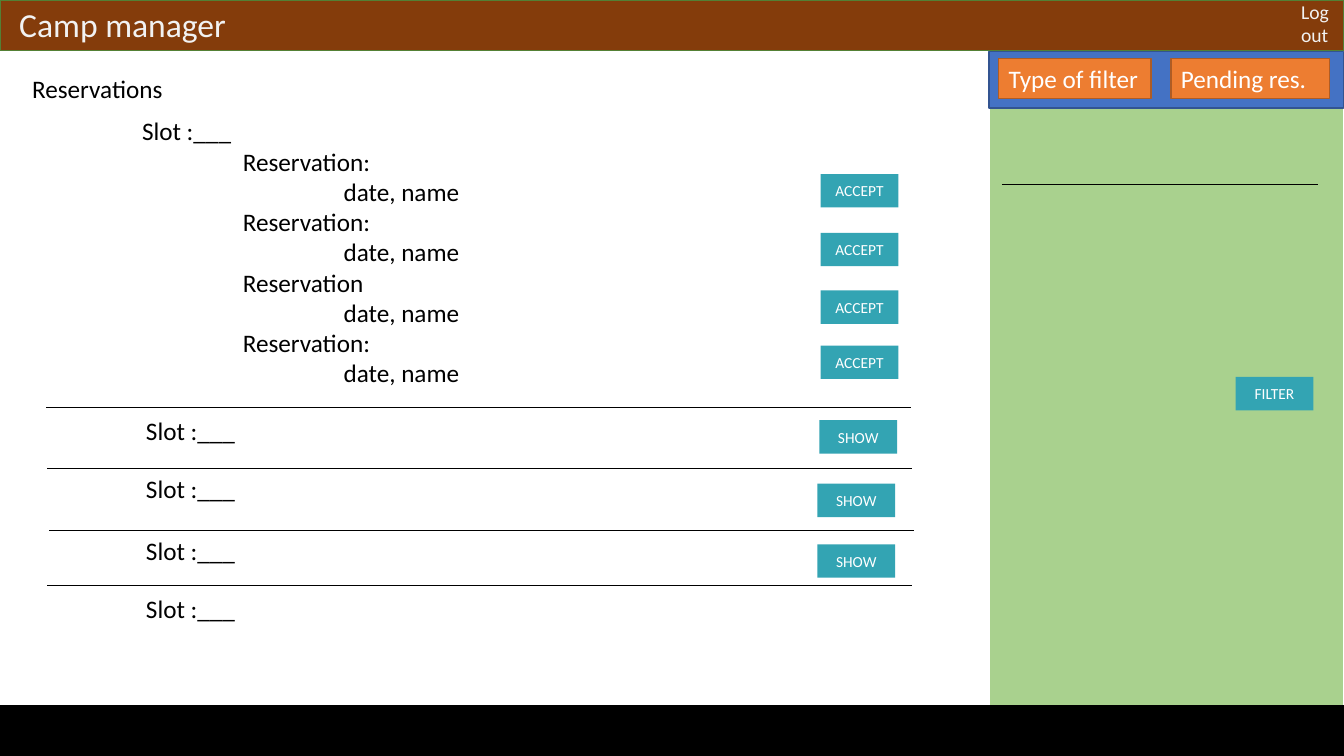
"""Build the camp manager reservations screen as one slide."""
from lxml import etree
from pptx import Presentation
from pptx.dml.color import RGBColor
from pptx.enum.shapes import MSO_CONNECTOR, MSO_SHAPE
from pptx.enum.text import MSO_ANCHOR, MSO_AUTO_SIZE, PP_ALIGN
from pptx.oxml.ns import qn
from pptx.util import Cm, Pt

RECTANGLE = MSO_SHAPE.RECTANGLE
STRAIGHT = MSO_CONNECTOR.STRAIGHT
TOP, MIDDLE = MSO_ANCHOR.TOP, MSO_ANCHOR.MIDDLE
LEFT, CENTER = PP_ALIGN.LEFT, PP_ALIGN.CENTER
NO_AUTOFIT = MSO_AUTO_SIZE.NONE

WIDTH, HEIGHT, BAR = 33.87, 19.05, 1.27
SIDEBAR_LEFT, SIDEBAR_WIDTH = 24.92, 8.94
BUTTON_SIZE = (1.96, 0.84)
INDENT = 2.54
RULE_LENGTH = 21.8


def color(value):
    return RGBColor.from_string(value)


class Screen:
    font = "Calibri"
    black, white, pale = "000000", "FFFFFF", "F2F2F2"
    teal, orange, orange_edge = "33A4B3", "ED7D31", "AF5C24"

    def __init__(self, slide):
        self.slide = slide

    def fill_text(self, shape, lines, size, text_color, align=LEFT, anchor=TOP):
        frame = shape.text_frame
        frame.word_wrap = True
        frame.auto_size = NO_AUTOFIT
        frame.vertical_anchor = anchor
        for index, (text, level) in enumerate(lines):
            paragraph = frame.paragraphs[0] if index == 0 else frame.add_paragraph()
            paragraph.text = text
            paragraph.alignment = align
            if level:
                properties = paragraph._p.get_or_add_pPr()
                properties.set("marL", str(Cm(level * INDENT)))
                properties.set("indent", "0")
            paragraph.font.name = self.font
            paragraph.font.size = Pt(size)
            paragraph.font.color.rgb = color(text_color)

    def title(self, text, left, top, width, height):
        title = self.slide.shapes.title
        title.left, title.top = Cm(left), Cm(top)
        title.width, title.height = Cm(width), Cm(height)
        self.fill_text(title, [(text, 0)], 24, self.pale)
        self.slide.shapes._spTree.append(title._element)

    def box(self, left, top, width, height, fill, edge=None):
        shape = self.slide.shapes.add_shape(
            RECTANGLE, Cm(left), Cm(top), Cm(width), Cm(height))
        shape.shadow.inherit = False
        shape.fill.solid()
        shape.fill.fore_color.rgb = color(fill)
        if edge:
            shape.line.color.rgb = color(edge)
            shape.line.width = Pt(1)
        else:
            shape.line.fill.background()
        return shape

    def button(self, text, left, top):
        shape = self.box(left, top, *BUTTON_SIZE, self.teal)
        self.fill_text(shape, [(text, 0)], 11, self.white, CENTER, MIDDLE)

    def choice(self, text, left, width):
        shape = self.box(left, 1.47, width, 1.02, self.orange, self.orange_edge)
        self.fill_text(shape, [(text, 0)], 18, self.white)

    def text(self, lines, left, top, width, height, size=18, text_color=black):
        shape = self.slide.shapes.add_textbox(
            Cm(left), Cm(top), Cm(width), Cm(height))
        self.fill_text(shape, lines, size, text_color)

    def rule(self, left, top, length):
        line = self.slide.shapes.add_connector(
            STRAIGHT, Cm(left), Cm(top), Cm(left + length), Cm(top))
        line.line.color.rgb = color(self.black)
        line.line.width = Pt(0.5)
        etree.SubElement(line._element.spPr, qn("a:effectLst"))


def main():
    presentation = Presentation()
    presentation.slide_width, presentation.slide_height = Cm(WIDTH), Cm(HEIGHT)
    screen = Screen(presentation.slides.add_slide(presentation.slide_layouts[5]))

    screen.box(SIDEBAR_LEFT, 0.97, SIDEBAR_WIDTH, 16.87, "A9D18E", screen.white)
    screen.box(0, 0, WIDTH, BAR, "843C0B", "538035")
    screen.box(0, HEIGHT - BAR, WIDTH, BAR, screen.black, screen.black)
    screen.title("Camp manager", 0.23, -0.03, 7.24, BAR)
    screen.text([("Log out", 0)], 32.54, -0.13, 1.88, 1.45, 14, screen.pale)

    screen.rule(25.25, 4.65, 7.97)
    screen.button("FILTER", 31.14, 9.5)
    screen.box(SIDEBAR_LEFT, 1.3, SIDEBAR_WIDTH, 1.42, "4472C4", "325491")
    screen.choice("Type of filter", 25.17, 3.84)
    screen.choice("Pending res.", 29.51, 3.99)

    screen.text([("Reservations", 0)], 0.56, 1.73, 22.96, 1.02)
    open_slot = [("Slot :___", 1)]
    for label in ("Reservation:", "Reservation:", "Reservation", "Reservation:"):
        open_slot += [(label, 2), ("date, name", 3)]
    screen.text(open_slot, 0.79, 2.79, 22.53, 7.95)
    for top in (4.39, 5.87, 7.32, 8.71):
        screen.button("ACCEPT", 20.68, top)

    for top in (10.34, 11.81, 13.36, 14.83):
        screen.text([("Slot :___", 1)], 0.89, top, 22.53, 1.02)
    for left, top in ((1.17, 10.26), (1.19, 11.81), (1.24, 13.36), (1.19, 14.76)):
        screen.rule(left, top, RULE_LENGTH)
    for left, top in ((20.65, 10.59), (20.6, 12.19), (20.6, 13.72)):
        screen.button("SHOW", left, top)

    presentation.save("out.pptx")


if __name__ == "__main__":
    main()
